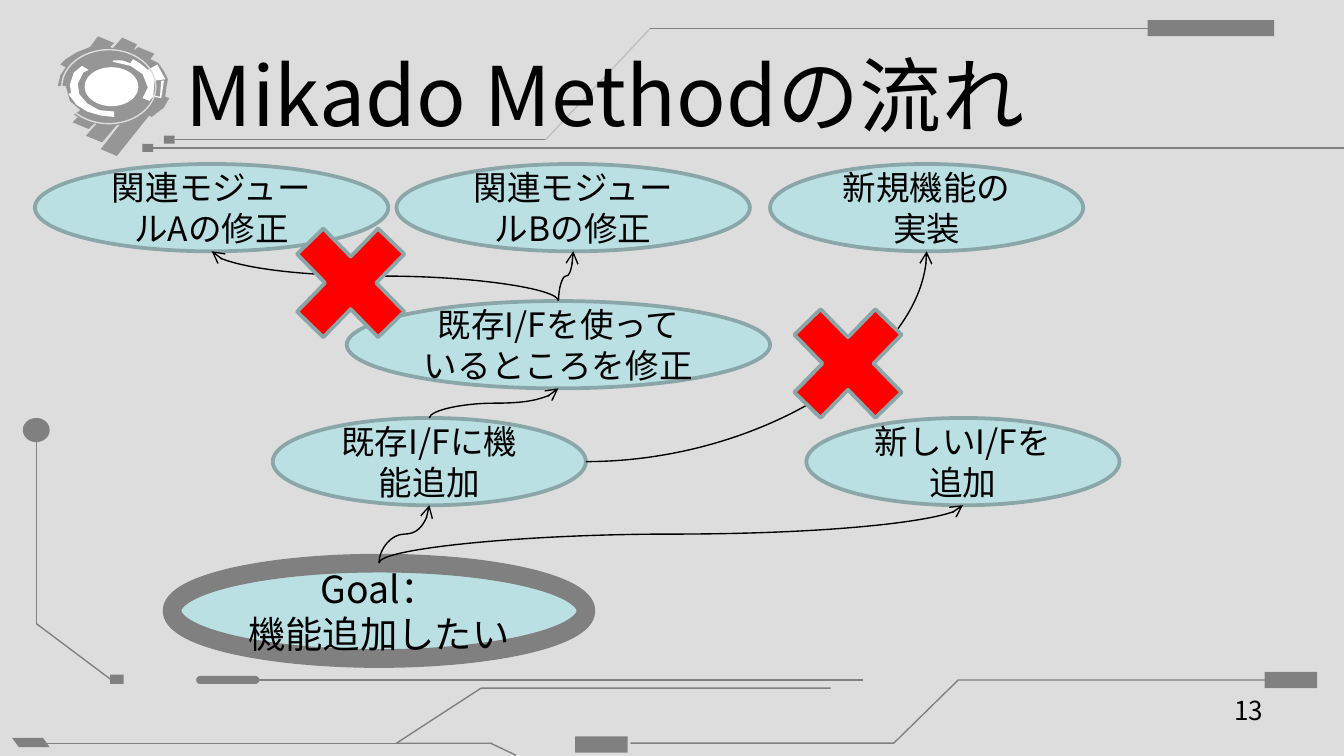
import pptx
import pptx.util
import pptx.dml.color
import pptx.enum.shapes
import pptx.enum.text
import pptx.oxml.ns
from lxml import etree

SHAPE = pptx.enum.shapes.MSO_SHAPE
LINK = pptx.enum.shapes.MSO_CONNECTOR
ALIGN = pptx.enum.text.PP_ALIGN
MIDDLE = pptx.enum.text.MSO_ANCHOR.MIDDLE
qn = pptx.oxml.ns.qn

FONT = "Noto Sans CJK JP"
INK, GREY, PALE, RIM = "000000", "808080", "DDDDDD", "8AA6A8"
TOP, BOTTOM, RIGHT = 0, 4, 6  # connection sites of an ellipse

EMBLEM_BODY = [
    (30, 0), (24, 8), (14, 12), (6, 17), (2, 21), (6, 23), (2, 29), (0, 37), (6, 37), (9, 48),
    (17, 55), (12, 58), (15, 60), (11, 64), (23, 69), (27, 65), (29, 65), (21, 74), (33, 79),
    (44, 66), (46, 66), (32, 84), (44, 89), (68, 59), (70, 60), (79, 53), (83, 46), (80, 45),
    (81, 37), (82, 32), (79, 26), (75, 20), (69, 17), (72, 13), (60, 8), (56, 11), (59, 6),
    (48, 1), (41, 9), (39, 8), (42, 5)]
EMBLEM_LEFT = [
    (23, 25), (18, 22), (12, 27), (9, 36), (10, 42), (8, 43), (14, 51), (22, 56), (32, 59),
    (42, 60), (42, 56), (31, 55), (22, 50), (16, 43), (15, 35), (19, 27)]
EMBLEM_RIGHT = [
    (41, 19), (54, 22), (63, 28), (67, 38), (63, 46), (68, 48), (71, 45), (77, 46), (79, 33),
    (77, 33), (76, 45), (71, 44), (72, 33), (80, 32), (74, 21), (67, 25), (61, 20), (56, 17),
    (54, 20), (48, 18), (41, 18)]


def u(columns):
    """Length of a number of grid columns; the slide is 100 columns wide."""
    return pptx.util.Inches(columns / 10)


def rgb(code):
    """Colour from a hex string."""
    return pptx.dml.color.RGBColor.from_string(code)


def paint(shape, fill=None, line=None, weight=0.75):
    """Set fill and outline, and drop the theme's effects."""
    shape.shadow.inherit = False
    if fill:
        shape.fill.solid()
        shape.fill.fore_color.rgb = rgb(fill)
    else:
        shape.fill.background()
    if line:
        shape.line.color.rgb = rgb(line)
        shape.line.width = pptx.util.Pt(weight)
    else:
        shape.line.fill.background()
    style = shape._element.find(qn("p:style"))
    if style is not None:
        shape._element.remove(style)


def write(frame, text, size, align):
    """Write text, one paragraph a line, in the slide's font."""
    frame.text = text
    frame.word_wrap = True
    for paragraph in frame.paragraphs:
        paragraph.alignment = align
        font = paragraph.font
        font.name, font.size = FONT, pptx.util.Pt(size)
        font.color.rgb = rgb(INK)
        defaults = paragraph._p.pPr.find(qn("a:defRPr"))
        etree.SubElement(defaults, qn("a:ea")).set("typeface", FONT)


def block(slide, kind, box, fill=None, line=None, weight=0.75):
    """Place a preset shape in a box of grid units."""
    shape = slide.shapes.add_shape(kind, *map(u, box))
    paint(shape, fill, line, weight)
    return shape


def outline(slide, origin, points, scale=1, close=False, fill=None, line=None):
    """Draw a polygon or polyline whose points count from an origin."""
    spots = [(u(origin[0] + x * scale), u(origin[1] + y * scale)) for x, y in points]
    builder = slide.shapes.build_freeform(*spots[0])
    builder.add_line_segments(spots[1:], close=close)
    paint(builder.convert_to_shape(), fill, line)


def rule(slide, kind, start, end, color):
    """Draw a thin connector between two points in EMU."""
    link = slide.shapes.add_connector(kind, *start, *end)
    link.line.color.rgb = rgb(color)
    link.line.width = pptx.util.Pt(0.75)
    etree.SubElement(link._element.spPr, qn("a:effectLst"))
    return link


def emblem(slide, left, top):
    """Grey cog with white rings, from its top left corner."""
    for points, fill in ((EMBLEM_BODY, "969696"), (EMBLEM_LEFT, "FFFFFF"), (EMBLEM_RIGHT, "FFFFFF")):
        outline(slide, (left, top), points, 0.1, True, fill)
    block(slide, SHAPE.OVAL, (left + 0.3, top + 1, 7, 5.5), line=PALE)
    block(slide, SHAPE.OVAL, (left + 2, top + 2.3, 4, 2.9), "FFFFFF")


def circuit(slide):
    """Circuit-like lines and pads around the slide."""
    for x1, y1, x2, y2, color in (
            (11.4, 11, 100, 11, GREY), (13, 10.4, 40.6, 10.4, GREY),
            (40.6, 10.4, 48.4, 2.1, "C0C0C0"), (48.4, 2.1, 85.4, 2.1, GREY),
            (64.2, 50.6, 18.5, 50.6, GREY), (29.5, 55.3, 2.7, 55.3, GREY),
            (8.3, 50.6, 2.7, 46.4, GREY), (2.7, 46.4, 2.7, 32.3, GREY),
            (36.5, 55.3, 38.4, 56.2, GREY)):
        rule(slide, LINK.STRAIGHT, (u(x1), u(y1)), (u(x2), u(y2)), color)
    outline(slide, (46.9, 50.6), [(47.2, 0), (24.4, 0), (19.6, 4.7), (0, 4.7)], line=GREY)
    outline(slide, (29.5, 51.2), [(32.3, 0), (6.3, 0), (0, 4.1), (7.1, 4.1)], line=GREY)
    for box in ((10.6, 10.7, 0.8, 0.6), (12.2, 10.1, 0.8, 0.6), (85.4, 1.5, 9.4, 1.2),
                (94.1, 50, 3.9, 1.2), (42.8, 54.8, 3.9, 1.2), (8.2, 50.2, 1, 0.7)):
        block(slide, SHAPE.RECTANGLE, box, GREY)
    block(slide, SHAPE.OVAL, (1.7, 31.1, 2, 1.8), GREY)
    block(slide, SHAPE.ROUNDED_RECTANGLE, (14.6, 50.3, 4.7, 0.6), GREY).adjustments[0] = 0.5
    pad = block(slide, SHAPE.PARALLELOGRAM, (0.9, 54.9, 2.8, 0.7), GREY)
    pad.adjustments[0] = 0.72
    pad._element.spPr.xfrm.set("flipH", "1")


def heading(slide, text, box):
    """Fill the title placeholder and bring it in front of the circuit."""
    title = slide.shapes.title
    title.left, title.top, title.width, title.height = map(u, box)
    write(title.text_frame, text, 44, ALIGN.LEFT)
    title.text_frame.vertical_anchor = MIDDLE
    title.text_frame.auto_size = pptx.enum.text.MSO_AUTO_SIZE.NONE
    slide.shapes._spTree.append(title._element)


def node(slide, text, box, size=18, line=RIM, weight=2):
    """One step of the graph: a labelled ellipse."""
    step = block(slide, SHAPE.OVAL, box, "BBE0E3", line, weight)
    write(step.text_frame, text, size, ALIGN.CENTER)
    step.text_frame.vertical_anchor = MIDDLE
    return step


def site(step, index):
    """Position of a connection site of a step."""
    x, y = step.left + step.width // 2, step.top + step.height // 2
    return {TOP: (x, step.top), BOTTOM: (x, step.top + step.height),
            RIGHT: (step.left + step.width, y)}[index]


def arrow(slide, source, target, leave=TOP):
    """Curved arrow from a step up to the bottom of a later step."""
    (x1, y1), (x2, y2) = site(source, leave), site(target, BOTTOM)
    link = rule(slide, LINK.CURVE, (x1, y1), (x2, y2), INK)
    xfrm = link._element.spPr.xfrm
    if leave == TOP:
        across, rise = abs(x2 - x1), y1 - y2
        link.left, link.top = (x1 + x2 - rise) // 2, (y1 + y2 - across) // 2
        link.width, link.height = rise, across
        rightward = x2 > x1
        xfrm.set("rot", str((90 if rightward else 270) * 60000))
        xfrm.set("flipH", "1" if rightward else "0")
        xfrm.set("flipV", "1")
    else:
        link._element.spPr.find(qn("a:prstGeom")).set("prst", "curvedConnector2")
    ends = link._element.find(".//" + qn("p:cNvCxnSpPr"))
    for tag, step, index in (("a:stCxn", source, leave), ("a:endCxn", target, BOTTOM)):
        glue = etree.SubElement(ends, qn(tag))
        glue.set("id", str(step.shape_id))
        glue.set("idx", str(index))
    stroke = link._element.spPr.find(qn("a:ln"))
    etree.SubElement(stroke, qn("a:tailEnd")).set("type", "arrow")


def mikado_graph(slide, left, top):
    """Goal, prerequisite steps, arrows and rejected paths."""
    def place(text, x, y, width, height=6.5, **look):
        """Place a step relative to the graph's corner."""
        return node(slide, text, (left + x, top + y, width, height), **look)

    goal = place("Goal：\n機能追加したい", 10.2, 29.7, 30.8, 7.1, size=20, line=GREY, weight=10)
    extend = place("既存I/Fに機能追加", 17.7, 18.9, 23.3)
    new_interface = place("新しいI/Fを追加", 57.4, 18.9, 23.3)
    module_a = place("関連モジュールAの修正", 0, 0, 26.3)
    callers = place("既存I/Fを使っているところを修正", 23.2, 10.2, 31.5)
    feature = place("新規機能の実装", 54.7, 0, 23.3)
    module_b = place("関連モジュールBの修正", 26.9, 0, 26.3)
    for source, target in ((goal, extend), (goal, new_interface), (callers, module_b),
                           (extend, callers), (callers, module_a)):
        arrow(slide, source, target)
    arrow(slide, extend, feature, RIGHT)
    for x, y in ((54.7, 8.9), (17.7, 2.9)):
        block(slide, SHAPE.MATH_MULTIPLY, (left + x, top + y, 11.6, 11.9), "FF0000", RIM, 2)


def page_number(slide, text, box):
    """Right-aligned page number."""
    number = slide.shapes.add_textbox(*map(u, box))
    write(number.text_frame, text, 14, ALIGN.RIGHT)


deck = pptx.Presentation()
deck.slide_width, deck.slide_height = u(100), u(56.25)
flow = deck.slides.add_slide(deck.slide_layouts[5])
flow.background.fill.solid()
flow.background.fill.fore_color.rgb = rgb(PALE)
emblem(flow, 4.3, 2.7)
circuit(flow)
heading(flow, "Mikado Methodの流れ", (12.8, 2.3, 82.2, 9.4))
page_number(flow, "13", (71.7, 51.2, 23.3, 3.9))
mikado_graph(flow, 2.6, 12.2)
deck.save("out.pptx")
